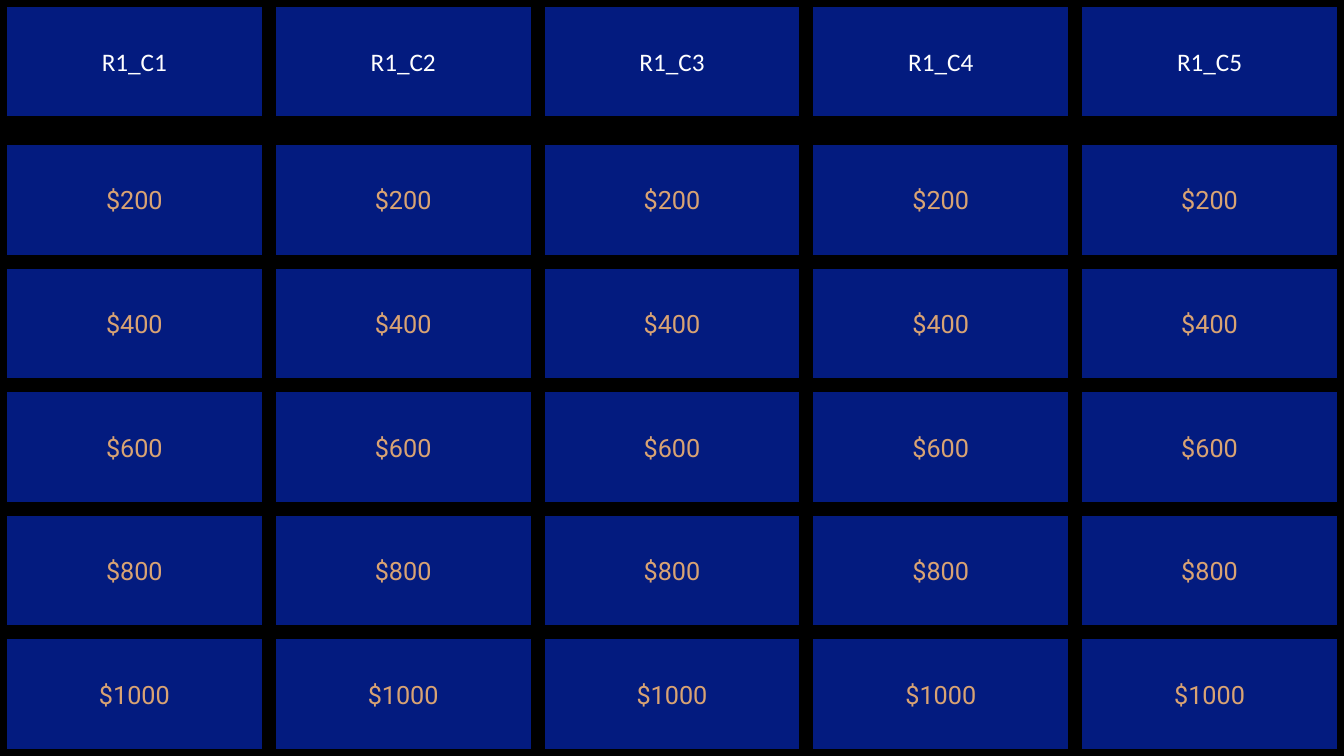
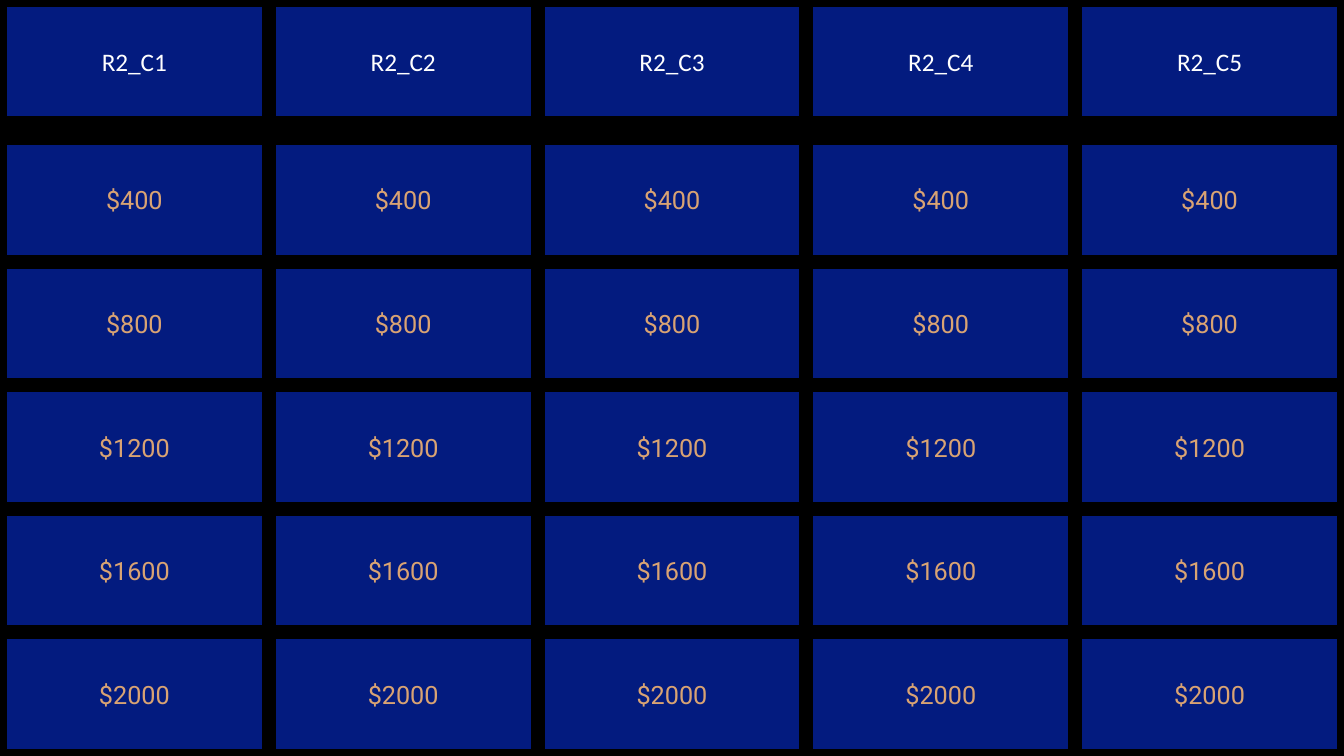
"""Build two quiz boards: a row of categories above five rows of prizes."""
import dataclasses

import pptx
import pptx.dml.color
import pptx.enum.shapes
import pptx.enum.text
import pptx.util


@dataclasses.dataclass(frozen=True)
class Theme:
    """Colours, fonts and type sizes shared by the boards."""
    back: str = "000000"
    tile: str = "031B7F"
    category: str = "FFFFFF"
    prize: str = "D9A373"
    category_font: str = "Calibri"
    prize_font: str = "Roboto"
    size: int = 18
    border: int = 10


THEME = Theme()
WIDTH, HEIGHT = 13.33, 7.5
COLUMNS, PRIZE_ROWS = 5, 5
PRIZE_TOP = 1.37
TILE_WIDTH = WIDTH / COLUMNS
TILE_HEIGHT = (HEIGHT - PRIZE_TOP) / PRIZE_ROWS
BOARDS = [("R1", 200), ("R2", 400)]


def rgb(value):
    """Return the colour for a hex string."""
    return pptx.dml.color.RGBColor.from_string(value)


def paint(fill, colour):
    """Give a fill one solid colour."""
    fill.solid()
    fill.fore_color.rgb = rgb(colour)


def add_tile(s, column, top, text, font, colour):
    """Add one bordered tile with centred text."""
    sp = s.shapes.add_shape(
        pptx.enum.shapes.MSO_SHAPE.RECTANGLE,
        pptx.util.Inches(column * TILE_WIDTH), pptx.util.Inches(top),
        pptx.util.Inches(TILE_WIDTH), pptx.util.Inches(TILE_HEIGHT))
    sp.shadow.inherit = False
    paint(sp.fill, THEME.tile)
    paint(sp.line.fill, THEME.back)
    sp.line.width = pptx.util.Pt(THEME.border)
    tf = sp.text_frame
    tf.word_wrap = True
    tf.vertical_anchor = pptx.enum.text.MSO_ANCHOR.MIDDLE
    p = tf.paragraphs[0]
    p.alignment = pptx.enum.text.PP_ALIGN.CENTER
    r = p.add_run()
    r.text = text
    style = {"name": font, "size": pptx.util.Pt(THEME.size)}
    for name, value in style.items():
        setattr(r.font, name, value)
    r.font.color.rgb = rgb(colour)


def add_row(s, top, texts, font, colour):
    """Add one row of tiles across the board."""
    for column, text in enumerate(texts):
        add_tile(s, column, top, text, font, colour)


def add_board(prs, name, step):
    """Add a slide with categories and prizes rising by one step per row."""
    s = prs.slides.add_slide(prs.slide_layouts[6])
    categories = [f"{name}_C{number}" for number in range(1, COLUMNS + 1)]
    add_row(s, 0, categories, THEME.category_font, THEME.category)
    for row in range(PRIZE_ROWS):
        prizes = [f"${step * (row + 1)}"] * COLUMNS
        add_row(s, PRIZE_TOP + row * TILE_HEIGHT, prizes,
                THEME.prize_font, THEME.prize)


def main():
    """Build and save the presentation."""
    prs = pptx.Presentation()
    prs.slide_width = pptx.util.Inches(WIDTH)
    prs.slide_height = pptx.util.Inches(HEIGHT)
    paint(prs.slide_master.background.fill, THEME.back)
    for name, step in BOARDS:
        add_board(prs, name, step)
    prs.save("out.pptx")


if __name__ == "__main__":
    main()
